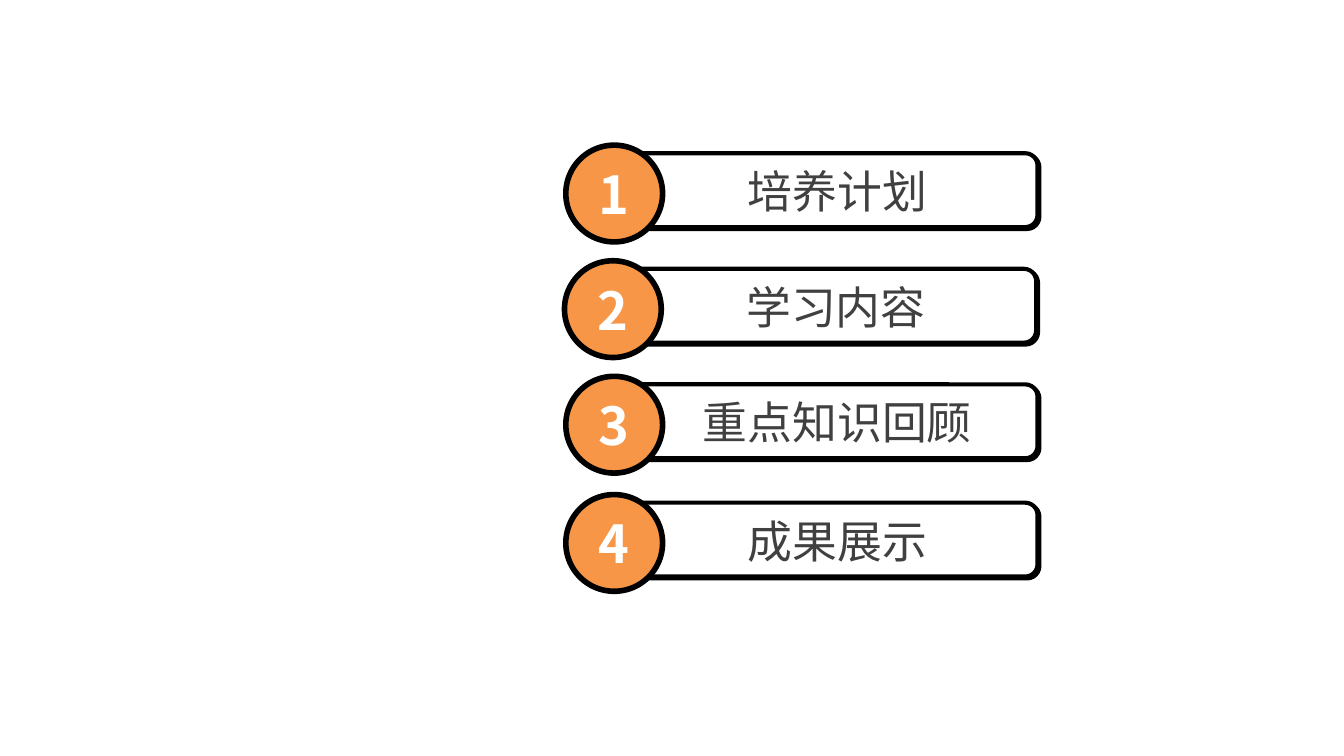
"""Build an agenda slide with four numbered entries."""
from dataclasses import dataclass

from lxml import etree
from pptx import Presentation
from pptx.dml.color import RGBColor
from pptx.enum import shapes, text
from pptx.oxml.ns import qn
from pptx.util import Inches, Pt


@dataclass(frozen=True)
class Theme:
    font: str = "Noto Sans CJK SC"
    accent: str = "F79646"
    ink: str = "000000"
    paper: str = "FFFFFF"
    label: str = "404040"
    number_size: int = 28
    label_size: int = 24
    card_line: float = 2.25
    badge_line: float = 3


@dataclass(frozen=True)
class Entry:
    label: str
    left: float
    top: float
    label_width: float = 1.53


THEME = Theme()
ENTRIES = [
    Entry("培养计划", 4.21, 1.08),
    Entry("学习内容", 4.2, 1.94),
    Entry("重点知识回顾", 4.21, 2.8, 2.2),
    Entry("成果展示", 4.21, 3.68),
]
BADGE = 0.72
CARD_WIDTH, CARD_HEIGHT = 3.15, 0.55
CARD_DX, CARD_DY = 0.36, 0.06
LABEL_CENTER, LABEL_DY, LABEL_HEIGHT = 2.02, 0.09, 0.5


def add_box(group, kind, left: float, top: float, width: float, height: float,
            fill: str, line: float):
    """Add a filled, outlined shape without a shadow."""
    sp = group.shapes.add_shape(kind, Inches(left), Inches(top), Inches(width), Inches(height))
    sp.fill.solid()
    sp.fill.fore_color.rgb = RGBColor.from_string(fill)
    sp.line.color.rgb = RGBColor.from_string(THEME.ink)
    sp.line.width = Pt(line)
    sp.shadow.inherit = False
    return sp


def add_hard_shadow(sp) -> None:
    """Give a shape a crisp shadow to the lower right."""
    effects = sp._element.spPr.find(qn("a:effectLst"))
    shadow = etree.SubElement(effects, qn("a:outerShdw"), blurRad="0",
                              dist=str(Pt(1.4)), dir="2700000", algn="tl", rotWithShape="0")
    etree.SubElement(shadow, qn("a:srgbClr"), val=THEME.ink)


def write(sp, words: str, size: int, color: str, bold: bool = False) -> None:
    """Set centred, unwrapped text in the theme font."""
    tf = sp.text_frame
    tf.text = words
    tf.word_wrap = False
    p = tf.paragraphs[0]
    p.alignment = text.PP_ALIGN.CENTER
    r = p.runs[0]
    r.font.size = Pt(size)
    r.font.bold = bold
    r.font.color.rgb = RGBColor.from_string(color)
    r.font.name = THEME.font
    etree.SubElement(r._r.get_or_add_rPr(), qn("a:ea"), typeface=THEME.font)


def add_entry(slide, number: int, entry: Entry) -> None:
    """Add one grouped card with its number badge and label."""
    group = slide.shapes.add_group_shape()
    card = add_box(group, shapes.MSO_SHAPE.ROUNDED_RECTANGLE, entry.left + CARD_DX,
                   entry.top + CARD_DY, CARD_WIDTH, CARD_HEIGHT, THEME.paper, THEME.card_line)
    add_hard_shadow(card)
    badge = add_box(group, shapes.MSO_SHAPE.OVAL, entry.left, entry.top, BADGE, BADGE,
                    THEME.accent, THEME.badge_line)
    badge.text_frame.vertical_anchor = text.MSO_ANCHOR.MIDDLE
    write(badge, str(number), THEME.number_size, THEME.paper, bold=True)
    label = group.shapes.add_textbox(
        Inches(entry.left + LABEL_CENTER - entry.label_width / 2),
        Inches(entry.top + LABEL_DY), Inches(entry.label_width), Inches(LABEL_HEIGHT))
    label.text_frame.auto_size = text.MSO_AUTO_SIZE.SHAPE_TO_FIT_TEXT
    write(label, entry.label, THEME.label_size, THEME.label)


def main() -> None:
    """Create and save the presentation."""
    prs = Presentation()
    prs.slide_width = Inches(10)
    prs.slide_height = prs.slide_width * 9 // 16
    slide = prs.slides.add_slide(prs.slide_layouts[6])
    for number, entry in enumerate(ENTRIES, start=1):
        add_entry(slide, number, entry)
    prs.save("out.pptx")


if __name__ == "__main__":
    main()
